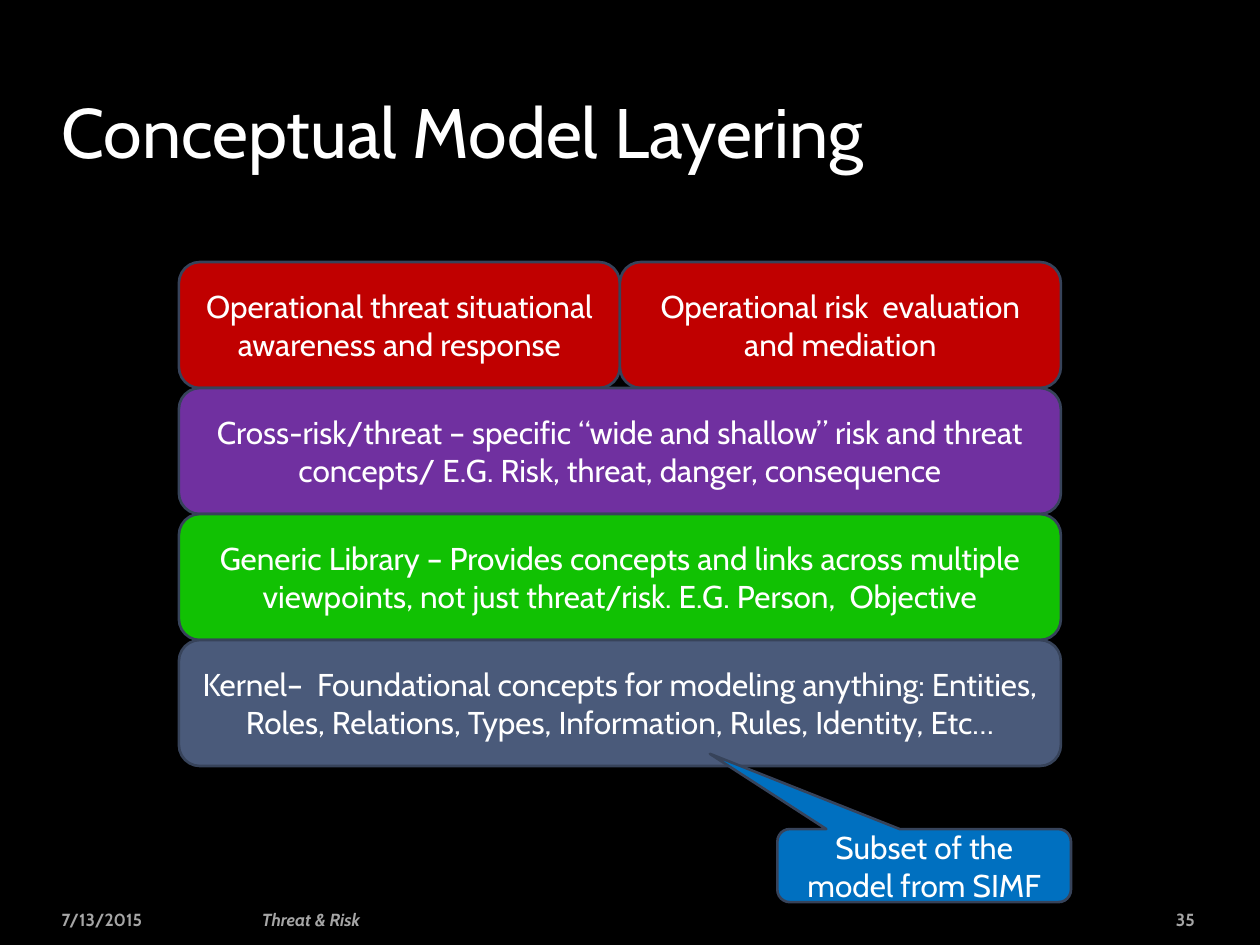
import pptx
import pptx.util
import pptx.dml.color
import pptx.enum.shapes
import pptx.enum.text

Inches = pptx.util.Inches
SHAPE = pptx.enum.shapes.MSO_SHAPE
ALIGN = pptx.enum.text.PP_ALIGN
ANCHOR = pptx.enum.text.MSO_ANCHOR

THEME = {
    "font": "Cabin",
    "background": "000000", "text": "FFFFFF", "muted": "A6A6A6", "outline": "37435A",
    "operational": "C00000", "cross": "7030A0", "generic": "11C103",
    "kernel": "4A5A7A", "callout": "0070C0",
    "title_size": 40, "body_size": 18, "footer_size": 10, "line_width": 1.5,
}

TITLE = "Conceptual Model Layering"
# Layers from top to bottom: colour name and the blocks that share the row
LAYERS = [
    ("operational", ["Operational threat situational awareness and response",
                     "Operational risk  evaluation and mediation"]),
    ("cross", ["Cross-risk/threat – specific “wide and shallow” risk and threat "
               "concepts/ E.G. Risk, threat, danger, consequence"]),
    ("generic", ["Generic Library – Provides concepts and links across multiple "
                 "viewpoints, not just threat/risk. E.G. Person,  Objective"]),
    ("kernel", ["Kernel–  Foundational concepts for modeling anything: Entities, "
                "Roles, Relations, Types, Information, Rules, Identity, Etc…"]),
]
CALLOUT = "Subset of the model from SIMF"
CALLOUT_BOX = (6.17, 6.58, 2.33, 0.58)
CALLOUT_POINTER = (-0.73, -1.53, 0.17)
# Text, left, width, alignment, italic
FOOTERS = [
    ("7/13/2015", 0.39, 1.6, ALIGN.LEFT, False),
    ("Threat & Risk", 1.98, 4.47, ALIGN.LEFT, True),
    ("35", 8.62, 0.96, ALIGN.RIGHT, False),
]
FOOTER_TOP, FOOTER_HEIGHT = 7.16, 0.27
STACK_LEFT, STACK_TOP, STACK_WIDTH, LAYER_HEIGHT = 1.42, 2.08, 7, 1


def color(name):
    return pptx.dml.color.RGBColor.from_string(THEME[name])


def set_text(sp, text, size, align, anchor=ANCHOR.MIDDLE, ink="text"):
    tf = sp.text_frame
    tf.text = text
    tf.word_wrap = True
    tf.auto_size = pptx.enum.text.MSO_AUTO_SIZE.NONE
    tf.vertical_anchor = anchor
    p = tf.paragraphs[0]
    p.alignment = align
    font = p.runs[0].font
    font.name = THEME["font"]
    font.size = pptx.util.Pt(THEME[size])
    font.color.rgb = color(ink)
    return font


def add_block(s, kind, box, text, fill):
    sp = s.shapes.add_shape(kind, *map(Inches, box))
    sp.shadow.inherit = False
    sp.fill.solid()
    sp.fill.fore_color.rgb = color(fill)
    sp.line.color.rgb = color("outline")
    sp.line.width = pptx.util.Pt(THEME["line_width"])
    set_text(sp, text, "body_size", ALIGN.CENTER)
    return sp


def main():
    prs = pptx.Presentation()
    prs.slide_width, prs.slide_height = Inches(10), Inches(7.5)
    s = prs.slides.add_slide(prs.slide_layouts.get_by_name("Title Only"))
    s.background.fill.solid()
    s.background.fill.fore_color.rgb = color("background")

    title = s.shapes.title
    title.left, title.top = Inches(0.39), Inches(0.25)
    title.width, title.height = Inches(8.4), Inches(1.17)
    set_text(title, TITLE, "title_size", ALIGN.LEFT, ANCHOR.BOTTOM)

    for text, left, width, align, italic in FOOTERS:
        sp = s.shapes.add_textbox(*map(Inches, (left, FOOTER_TOP, width, FOOTER_HEIGHT)))
        font = set_text(sp, text, "footer_size", align, ink="muted")
        font.bold, font.italic = True, italic

    for row, (fill, texts) in enumerate(LAYERS):
        width = STACK_WIDTH / len(texts)
        for col, text in enumerate(texts):
            box = (STACK_LEFT + col * width, STACK_TOP + row * LAYER_HEIGHT,
                   width, LAYER_HEIGHT)
            add_block(s, SHAPE.ROUNDED_RECTANGLE, box, text, fill)

    callout = add_block(s, SHAPE.ROUNDED_RECTANGULAR_CALLOUT, CALLOUT_BOX, CALLOUT, "callout")
    for i, value in enumerate(CALLOUT_POINTER):
        callout.adjustments[i] = value

    prs.save("out.pptx")


if __name__ == "__main__":
    main()
